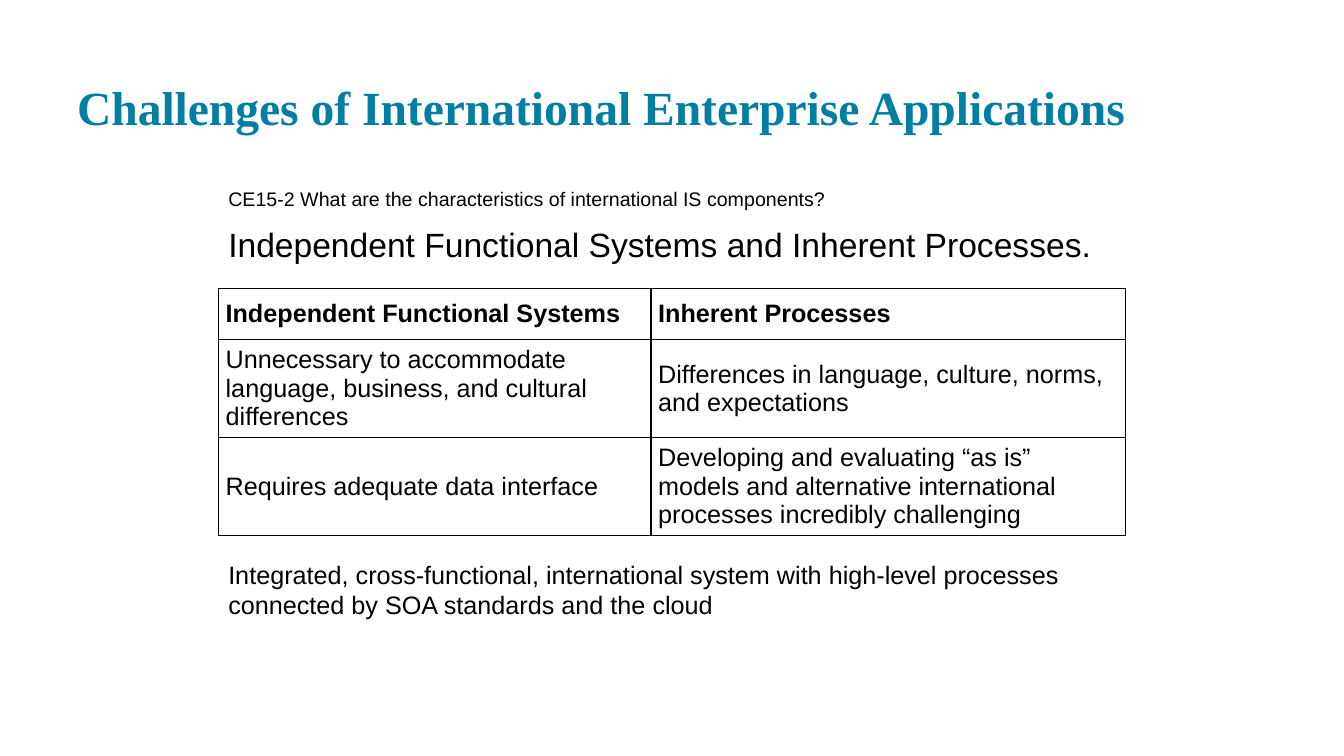
from dataclasses import dataclass

from lxml import etree
from pptx import Presentation
from pptx import util as u
from pptx.dml.color import RGBColor
from pptx.enum import text
from pptx.oxml import ns


@dataclass(frozen=True)
class Theme:
    teal: str = "007FA3"
    black: str = "000000"
    heading_font: str = "Times New Roman"
    body_font: str = "Arial"
    title_size: int = 34
    lead_size: int = 24
    text_size: int = 18
    label_size: int = 14


class SlideBuilder:
    """Holds the theme and the slide being built."""

    def __init__(self, slide, theme):
        self.slide = slide
        self.theme = theme

    def add_span(self, para, words, size, bold=False, font=None, color=None):
        span = para.add_run()
        span.text = words
        style = {
            "name": font or self.theme.body_font,
            "size": u.Pt(size),
            "bold": bold,
        }
        for name, value in style.items():
            setattr(span.font, name, value)
        span.font.color.rgb = RGBColor.from_string(color or self.theme.black)

    def text_box(self, bounds, lines, anchor=text.MSO_ANCHOR.TOP, **style):
        """Each line is (words, size, space before)."""
        box = self.slide.shapes.add_textbox(*map(u.Pt, bounds))
        frame = box.text_frame
        layout = {"word_wrap": True, "vertical_anchor": anchor}
        for side in ("left", "top", "right", "bottom"):
            layout[f"margin_{side}"] = u.Pt(7.2)
        for name, value in layout.items():
            setattr(frame, name, value)
        for index, (words, size, before) in enumerate(lines):
            para = frame.add_paragraph() if index else frame.paragraphs[0]
            para.space_before = u.Pt(before)
            self.add_span(para, words, size, **style)

    def border(self, cell):
        properties = cell._tc.get_or_add_tcPr()
        for position, side in enumerate(("lnL", "lnR", "lnT", "lnB")):
            line = etree.Element(ns.qn(f"a:{side}"), w=str(u.Pt(1)))
            fill = etree.SubElement(line, ns.qn("a:solidFill"))
            etree.SubElement(fill, ns.qn("a:srgbClr"), val=self.theme.black)
            properties.insert(position, line)

    def table(self, left, top, widths, heights, rows):
        frame = self.slide.shapes.add_table(
            len(rows), len(widths), u.Pt(left), u.Pt(top),
            u.Pt(sum(widths)), u.Pt(sum(heights)))
        grid = frame.table
        for column, width in zip(grid.columns, widths):
            column.width = u.Pt(width)
        layout = {
            "vertical_anchor": text.MSO_ANCHOR.MIDDLE,
            "margin_left": u.Pt(5.2), "margin_right": u.Pt(5.2),
            "margin_top": u.Pt(2.6), "margin_bottom": u.Pt(2.6),
        }
        for index, (height, row) in enumerate(zip(heights, rows)):
            grid.rows[index].height = u.Pt(height)
            for cell, words in zip(grid.rows[index].cells, row):
                for name, value in layout.items():
                    setattr(cell, name, value)
                cell.fill.background()
                self.border(cell)
                self.add_span(cell.text_frame.paragraphs[0], words,
                              self.theme.text_size, bold=index == 0)


def main():
    deck = Presentation()
    deck.slide_width, deck.slide_height = u.Pt(960), u.Pt(540)
    theme = Theme()
    page = SlideBuilder(deck.slides.add_slide(deck.slide_layouts[6]), theme)
    left, width = 156, 648

    # Title
    page.text_box(
        (48, 17.3, 864, 86.4),
        [("Challenges of International Enterprise Applications",
          theme.title_size, 0)],
        anchor=text.MSO_ANCHOR.BOTTOM, bold=True,
        font=theme.heading_font, color=theme.teal)

    # Question and subject
    page.text_box((left, 126, width, 65.5), [
        ("CE15-2 What are the characteristics of international IS components?",
         theme.label_size, 0),
        ("Independent Functional Systems and Inherent Processes.",
         theme.lead_size, 10),
    ])

    # Comparison table
    page.table(left, 206, (309, 339), (36.5, 65, 65), [
        ("Independent Functional Systems", "Inherent Processes"),
        ("Unnecessary to accommodate language, business, and cultural "
         "differences",
         "Differences in language, culture, norms, and expectations"),
        ("Requires adequate data interface",
         "Developing and evaluating “as is” models and alternative "
         "international processes incredibly challenging"),
    ])

    # Conclusion
    page.text_box((left, 392.4, width, 77), [
        ("Integrated, cross-functional, international system with high-level "
         "processes connected by SOA standards and the cloud",
         theme.text_size, 15),
    ])

    deck.save("out.pptx")


if __name__ == "__main__":
    main()
